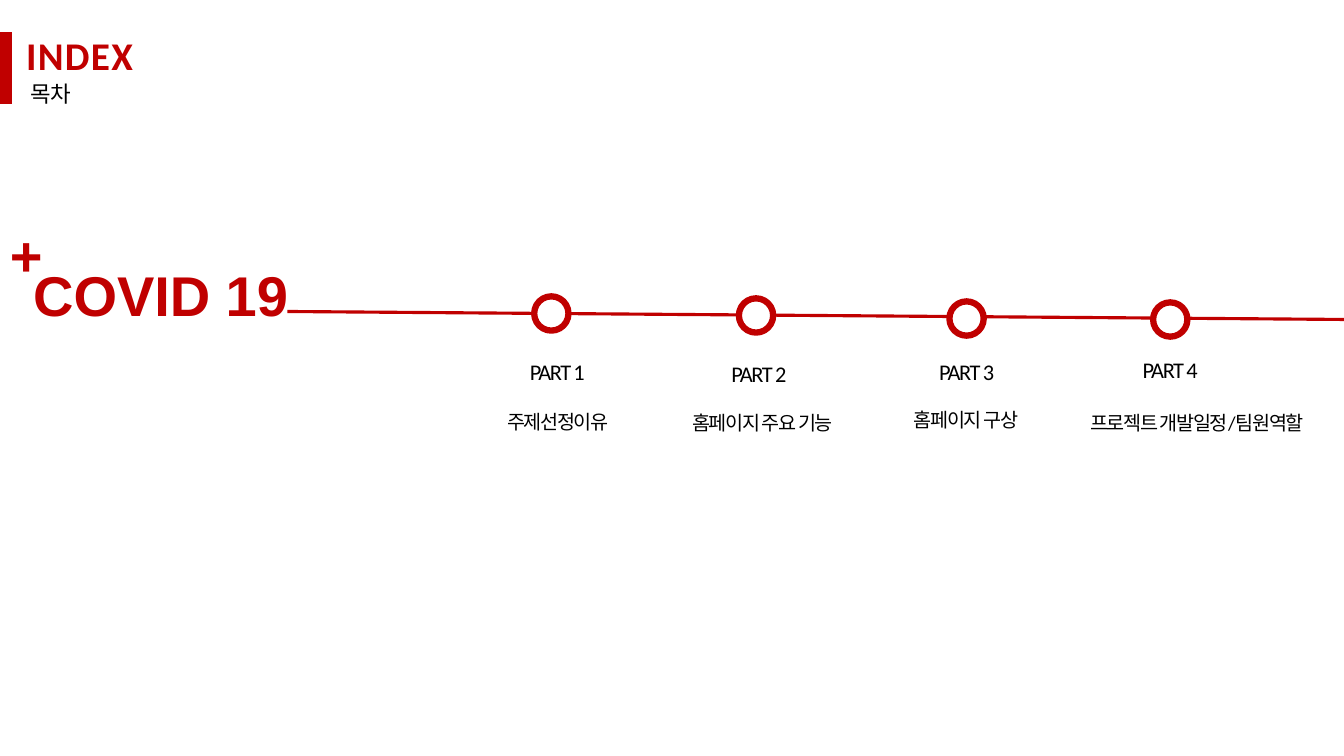
from dataclasses import dataclass

import pptx
import pptx.dml.color
import pptx.enum.shapes
import pptx.enum.text
import pptx.oxml
import pptx.oxml.ns
import pptx.slide
import pptx.util

Pt = pptx.util.Pt
COLOURS = {"red": "C00000", "black": "000000", "white": "FFFFFF"}
LATIN, KOREAN = "Calibri", "Noto Sans CJK KR"
CIRCLE_SIZE = 24.5
LABEL_WIDTH = 123.8


@dataclass(frozen=True)
class Stop:
    """One stop on the timeline; positions in points."""
    label: str
    topic: str
    circle_left: float
    circle_top: float
    label_left: float
    label_top: float
    topic_left: float
    topic_top: float
    topic_width: float = 150.5


STOPS = [
    Stop("PART 1", "주제선정이유", 381.6, 211.7, 336.2, 252, 323.3, 289.4),
    Stop("PART 2", "홈페이지 주요 기능", 527.8, 213.1, 480.2, 253.4, 469.4, 290.2),
    Stop("PART 3", "홈페이지 구상", 678.2, 215.3, 628.6, 252, 614.9, 288),
    Stop("PART 4", "프로젝트 개발일정/팀원역할", 823.7, 216, 774, 250.6, 760.3, 290.2, 189.4),
]


def colour(name: str) -> pptx.dml.color.RGBColor:
    return pptx.dml.color.RGBColor.from_string(COLOURS[name])


def add_text(page: pptx.slide.Slide, text: str, *, left: float, top: float,
             width: float, height: float, size: float, font: str = LATIN,
             ink: str = "black", bold: bool = False, centred: bool = False,
             spacing: float = 0) -> None:
    box = page.shapes.add_textbox(Pt(left), Pt(top), Pt(width), Pt(height))
    frame = box.text_frame
    frame.word_wrap = True
    frame.auto_size = pptx.enum.text.MSO_AUTO_SIZE.SHAPE_TO_FIT_TEXT
    para = frame.paragraphs[0]
    if centred:
        para.alignment = pptx.enum.text.PP_ALIGN.CENTER
    span = para.add_run()
    span.text = text
    span.font.name = font
    span.font.size = Pt(size)
    span.font.bold = bold
    span.font.color.rgb = colour(ink)
    # Letter spacing and the Korean typeface
    properties = span._r.get_or_add_rPr()
    if spacing:
        properties.set("spc", str(round(spacing * 100)))
    east_asian = pptx.oxml.parse_xml(
        f'<a:ea {pptx.oxml.ns.nsdecls("a")} typeface="{KOREAN}"/>')
    properties.find(pptx.oxml.ns.qn("a:latin")).addnext(east_asian)


def add_line(page: pptx.slide.Slide, start: tuple[float, float],
             end: tuple[float, float], weight: float) -> None:
    line = page.shapes.add_connector(
        pptx.enum.shapes.MSO_CONNECTOR.STRAIGHT,
        Pt(start[0]), Pt(start[1]), Pt(end[0]), Pt(end[1]))
    line.line.color.rgb = colour("red")
    line.line.width = Pt(weight)
    line._element.spPr.append(pptx.oxml.parse_xml(
        f'<a:effectLst {pptx.oxml.ns.nsdecls("a")}/>'))


def add_circle(page: pptx.slide.Slide, left: float, top: float) -> None:
    circle = page.shapes.add_shape(
        pptx.enum.shapes.MSO_SHAPE.OVAL,
        Pt(left), Pt(top), Pt(CIRCLE_SIZE), Pt(CIRCLE_SIZE))
    circle.shadow.inherit = False
    circle.fill.solid()
    circle.fill.fore_color.rgb = colour("white")
    circle.line.color.rgb = colour("red")
    circle.line.width = Pt(4.5)


def add_stop(page: pptx.slide.Slide, stop: Stop) -> None:
    add_circle(page, stop.circle_left, stop.circle_top)
    add_text(page, stop.label, left=stop.label_left, top=stop.label_top,
             width=LABEL_WIDTH, height=26.6, size=16, centred=True, spacing=-1)
    add_text(page, stop.topic, left=stop.topic_left, top=stop.topic_top,
             width=stop.topic_width, height=24.5, size=14, centred=True, spacing=-1)


def main() -> None:
    deck = pptx.Presentation()
    deck.slide_width, deck.slide_height = Pt(960), Pt(540)
    page = deck.slides.add_slide(deck.slide_layouts[6])
    page.background.fill.solid()
    page.background.fill.fore_color.rgb = colour("white")

    # Heading
    add_line(page, (3.6, 23), (3.6, 74.2), 10)
    add_text(page, "INDEX", left=11.5, top=18.7, width=324.7, height=41,
             size=28, ink="red", bold=True, spacing=1)
    add_text(page, "목차", left=14.4, top=54, width=103, height=26.6,
             size=16, font=KOREAN)

    # Timeline and its title
    add_line(page, (205.2, 222.5), (960, 228.2), 2.25)
    add_text(page, "COVID 19", left=16.6, top=182.2, width=324.7, height=55.4,
             size=40, font="Arial", ink="red", bold=True)
    add_text(page, "+", left=0, top=154.1, width=61.9, height=55.4,
             size=40, font="Arial", ink="red", bold=True)

    # Stops
    for stop in STOPS:
        add_stop(page, stop)

    deck.save("out.pptx")


if __name__ == "__main__":
    main()
